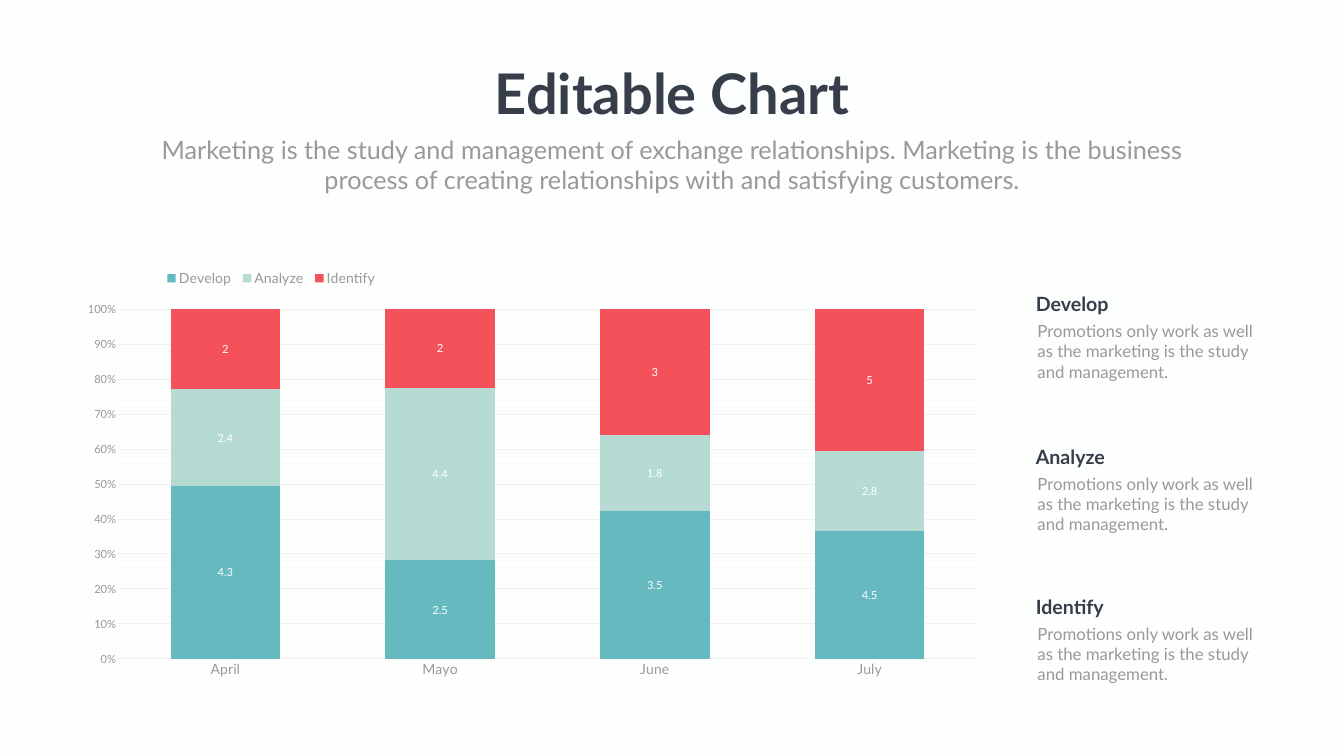
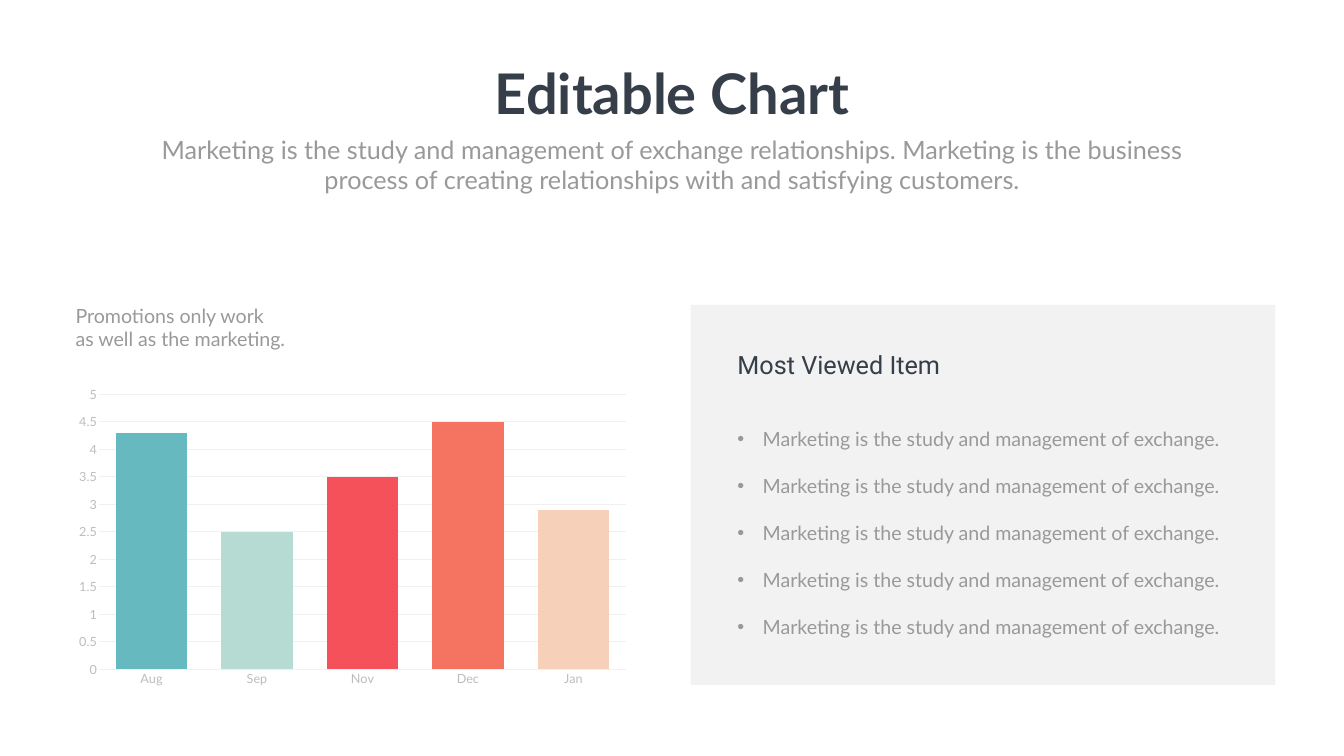
"""Build two chart slides: a stacked percentage chart and a column chart with a list."""
import lxml.etree
import pptx
import pptx.chart.data
import pptx.dml.color
import pptx.enum.chart
import pptx.enum.shapes
import pptx.enum.text
import pptx.oxml
import pptx.oxml.ns
import pptx.util

PX = 9144
COLORS = {
    "ink": "353E49", "grey": "989998", "pale": "BCBDBC", "grid": "F0F0F0", "faint": "FAFAFA",
    "white": "FFFFFF", "mist": "FDFFFE", "panel": "808080", "teal": "65B9BF", "mint": "B5DBD2",
    "red": "F4515B", "coral": "F57461", "peach": "F7D0B9",
}
RGB = {name: pptx.dml.color.RGBColor.from_string(value) for name, value in COLORS.items()}
FORMATS = {
    "title": {"name": "Lato", "size": 80, "bold": True, "color": "ink"},
    "subtitle": {"name": "Lato", "size": 36, "color": "grey"},
    "heading": {"name": "Lato", "size": 28, "bold": True, "color": "ink"},
    "body": {"name": "Lato", "size": 24, "color": "grey"},
    "list": {"name": "Lato", "size": 28, "color": "grey"},
    "panel title": {"name": "Roboto", "size": 36, "color": "ink"},
    "small": {"name": "Lato", "size": 16, "color": "grey"},
    "medium": {"name": "Lato", "size": 20, "color": "grey"},
    "axis": {"name": "Lato", "size": 18, "color": "pale"},
    "value": {"name": "Lato", "size": 16, "color": "white"},
}
CHART_TYPES = pptx.enum.chart.XL_CHART_TYPE
CENTER = pptx.enum.text.PP_ALIGN.CENTER


def set_font(font, style):
    for key, value in FORMATS[style].items():
        if key == "color":
            font.color.rgb = RGB[value]
        else:
            setattr(font, key, pptx.util.Pt(value) if key == "size" else value)


def add_text(page, place, lines, style, align=None, wrap=True, bullet_gap=None):
    box = page.shapes.add_textbox(*[PX * length for length in place])
    frame = box.text_frame
    frame.word_wrap = wrap
    frame.auto_size = pptx.enum.text.MSO_AUTO_SIZE.SHAPE_TO_FIT_TEXT
    for number, line in enumerate(lines):
        para = frame.paragraphs[0] if number == 0 else frame.add_paragraph()
        para.alignment = align
        if bullet_gap:
            properties = para._p.get_or_add_pPr()
            properties.set("marL", str(50 * PX))
            properties.set("indent", str(-50 * PX))
            if number:
                para.space_before = pptx.util.Pt(bullet_gap)
            properties.append(pptx.oxml.parse_xml(
                f'<a:buFont {pptx.oxml.ns.nsdecls("a")} typeface="Arial"/>'))
            properties.append(pptx.oxml.parse_xml(
                f'<a:buChar {pptx.oxml.ns.nsdecls("a")} char="•"/>'))
        span = para.add_run()
        span.text = line
        set_font(span.font, style)


deck = pptx.Presentation()
deck.slide_width, deck.slide_height = 2666 * PX, 1500 * PX

charts = [
    {"background": "mist", "type": CHART_TYPES.COLUMN_STACKED_100,
     "place": (136, 532, 1837, 832), "plot": (234, 613, 1704, 694),
     "categories": ["April", "Mayo", "June", "July"],
     "series": {"Develop": [4.3, 2.5, 3.5, 4.5], "Analyze": [2.4, 4.4, 1.8, 2.8],
                "Identify": [2, 2, 3, 5]},
     "gap": 96, "overlap": 100, "font": "small", "category font": "medium",
     "value font": "small", "number format": "0%"},
    {"background": "white", "type": CHART_TYPES.COLUMN_CLUSTERED,
     "place": (136, 755, 1129, 621), "plot": (196, 782, 1046, 546),
     "categories": ["Aug", "Sep", "Nov", "Dec", "Jan"],
     "series": {"Series 1": [4.3, 2.5, 3.5, 4.5, 2.9]},
     "gap": 48, "overlap": -27, "font": "axis", "category font": "axis",
     "value font": "axis", "number format": "General"},
]
palette = ["teal", "mint", "red", "coral", "peach"]
legend_place = (318, 532, 440, 40)

for details in charts:
    page = deck.slides.add_slide(deck.slide_layouts[6])
    page.background.fill.solid()
    page.background.fill.fore_color.rgb = RGB[details["background"]]
    add_text(page, (965, 112, 737, 145), ["Editable Chart"], "title", CENTER, wrap=False)
    add_text(page, (292, 261, 2082, 131), [
        "Marketing is the study and management of exchange relationships. Marketing is the "
        "business process of creating relationships with and satisfying customers."],
        "subtitle", CENTER)

    data = pptx.chart.data.CategoryChartData()
    data.categories = details["categories"]
    for name, values in details["series"].items():
        data.add_series(name, values)
    chart = page.shapes.add_chart(
        details["type"], *[PX * length for length in details["place"]], data).chart
    chart.has_title = False
    set_font(chart.font, details["font"])
    stacked = len(details["series"]) > 1
    chart.has_legend = stacked
    layouts = [(chart._chartSpace.chart.plotArea, 0, details["plot"])]

    plot = chart.plots[0]
    plot.gap_width, plot.overlap = details["gap"], details["overlap"]
    plot.vary_by_categories = False
    for series, color in zip(plot.series, palette):
        series.format.fill.solid()
        series.format.fill.fore_color.rgb = RGB[color]
        if stacked:
            labels = series.data_labels
            labels.show_value = True
            labels.position = pptx.enum.chart.XL_LABEL_POSITION.CENTER
            set_font(labels.font, "value")
        else:
            for index, point_color in enumerate(palette[1:], 1):
                fill = series.points[index].format.fill
                fill.solid()
                fill.fore_color.rgb = RGB[point_color]

    for axis, style in ((chart.category_axis, "category font"), (chart.value_axis, "value font")):
        axis.major_tick_mark = axis.minor_tick_mark = pptx.enum.chart.XL_TICK_MARK.NONE
        set_font(axis.tick_labels.font, details[style])
    value_axis = chart.value_axis
    value_axis.tick_labels.number_format = details["number format"]
    value_axis.tick_labels.number_format_is_linked = False
    value_axis.has_major_gridlines = True
    for line in (chart.category_axis.format.line, value_axis.major_gridlines.format.line):
        line.color.rgb = RGB["grid"]
        line.width = pptx.util.Pt(0.75)
    value_axis.format.line.fill.background()
    if stacked:
        value_axis.has_minor_gridlines = True
        minor = value_axis._element.find(pptx.oxml.ns.qn("c:minorGridlines"))
        minor.append(pptx.oxml.parse_xml(
            f'<c:spPr {pptx.oxml.ns.nsdecls("c", "a")}><a:ln w="9525"><a:solidFill>'
            f'<a:srgbClr val="{COLORS["faint"]}"/></a:solidFill></a:ln></c:spPr>'))
        chart.legend.position = pptx.enum.chart.XL_LEGEND_POSITION.TOP
        chart.legend.include_in_layout = False
        set_font(chart.legend.font, "medium")
        layouts.append((chart.legend._element, 1, legend_place))
    else:
        value_axis.minimum_scale, value_axis.maximum_scale = 0, 5
        value_axis.major_unit = 0.5

    left, top, width, height = details["place"]
    for parent, position, (x, y, w, h) in layouts:
        for old in parent.findall(pptx.oxml.ns.qn("c:layout")):
            parent.remove(old)
        layout = pptx.oxml.parse_xml(f'<c:layout {pptx.oxml.ns.nsdecls("c")}/>')
        manual = lxml.etree.SubElement(layout, pptx.oxml.ns.qn("c:manualLayout"))
        settings = {"xMode": "edge", "yMode": "edge", "x": (x - left) / width,
                    "y": (y - top) / height, "w": w / width, "h": h / height}
        if position == 0:
            settings = {"layoutTarget": "inner", **settings}
        for key, value in settings.items():
            lxml.etree.SubElement(manual, pptx.oxml.ns.qn("c:" + key)).set("val", str(value))
        parent.insert(position, layout)

stacked_page, column_page = deck.slides
for heading, top in zip(charts[0]["series"], (575, 877, 1175)):
    add_text(stacked_page, (2048, top + 57, 482, 131), [
        "Promotions only work as well as the marketing is the study and management."], "body")
    add_text(stacked_page, (2045, top, 220, 57), [heading], "heading")

add_text(column_page, (140, 598, 508, 104),
         ["Promotions only work", "as well as the marketing."], "list")
panel = column_page.shapes.add_shape(
    pptx.enum.shapes.MSO_SHAPE.RECTANGLE, *[PX * length for length in (1370, 605, 1160, 754)])
panel.shadow.inherit = False
panel.line.fill.background()
panel.fill.solid()
panel.fill.fore_color.rgb = RGB["panel"]
panel_color = panel._element.spPr.find(".//" + pptx.oxml.ns.qn("a:srgbClr"))
lxml.etree.SubElement(panel_color, pptx.oxml.ns.qn("a:alpha")).set("val", "10000")
add_text(column_page, (1453, 688, 560, 71), ["Most Viewed Item"], "panel title")
add_text(column_page, (1453, 842, 995, 434),
         ["Marketing is the study and management of exchange."] * 5, "list", bullet_gap=33.6)

deck.save("out.pptx")
